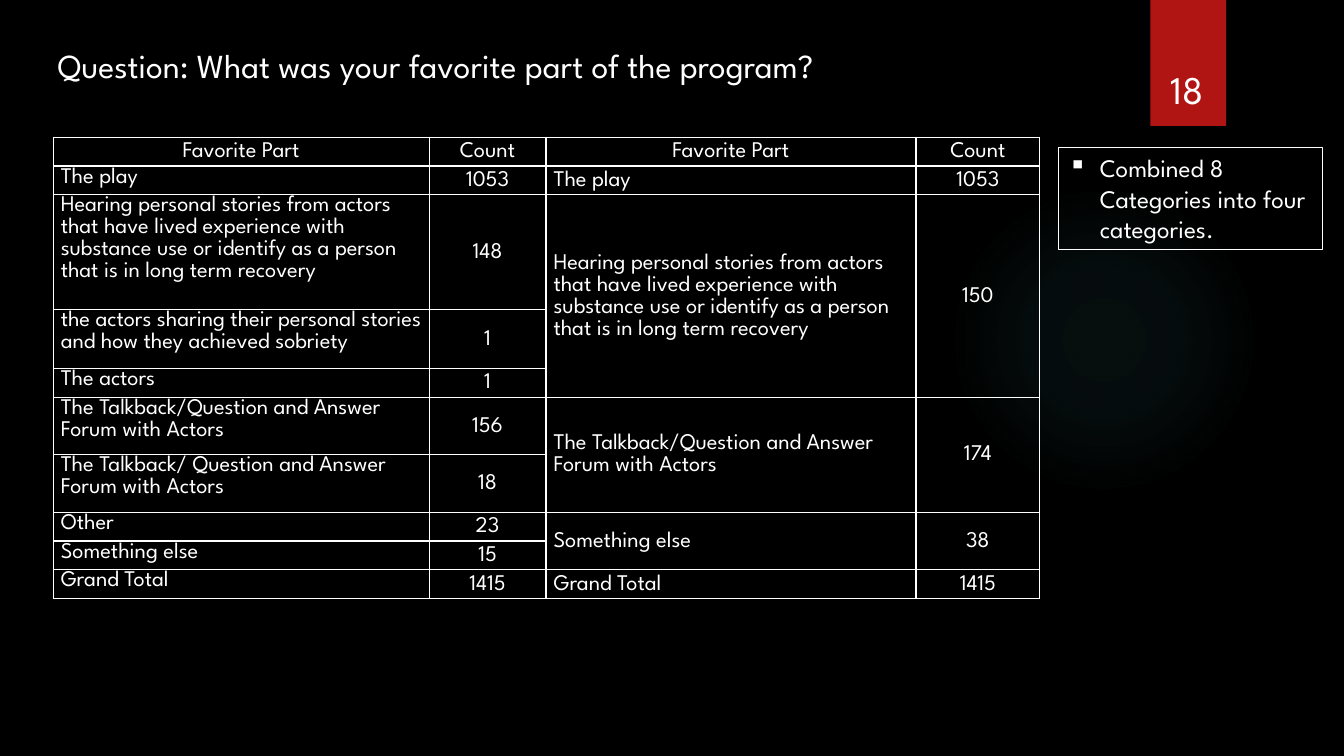
from lxml import etree
from pptx import Presentation
from pptx.dml.color import RGBColor
from pptx.enum import shapes, text
from pptx.oxml import parse_xml
from pptx.oxml.ns import nsdecls
from pptx.util import Pt

QUESTION = "Question: What was your favorite part of the program?"
NOTE = "Combined 8 Categories into four categories."
PAGE = "18"
HEADINGS = ["Favorite Part", "Count"]
STORIES = ("Hearing personal stories from actors that have lived experience with "
           "substance use or identify as a person that is in long term recovery")
TALKBACK = "The Talkback/Question and Answer Forum with Actors"
GROUPS = [
    ("The play", 1053, [("The play", 1053, 20.5)]),
    (STORIES, 150, [
        (STORIES, 148, 82),
        ("the actors sharing their personal stories and how they achieved sobriety", 1, 42),
        ("The actors", 1, 20.5),
    ]),
    (TALKBACK, 174, [
        (TALKBACK, 156, 41),
        ("The Talkback/ Question and Answer Forum with Actors", 18, 41),
    ]),
    ("Something else", 38, [("Other", 23, 20.5), ("Something else", 15, 20.5)]),
    ("Grand Total", 1415, [("Grand Total", 1415, 20.5)]),
]
COLUMN_WIDTHS = [268.5, 83.5, 264.25, 88.5]
HEADER_HEIGHT = 20.5
GLOW_STOPS = [(0, 7), (36, 6), (69, 0)]

FONT = "League Spartan"
BLACK = RGBColor(0x00, 0x00, 0x00)
WHITE = RGBColor(0xFF, 0xFF, 0xFF)
RED = RGBColor(0xB0, 0x15, 0x13)
GLOW = RGBColor(0x50, 0xB9, 0xC1)
LEFT, CENTER = text.PP_ALIGN.LEFT, text.PP_ALIGN.CENTER
TOP, MIDDLE, BOTTOM = text.MSO_ANCHOR.TOP, text.MSO_ANCHOR.MIDDLE, text.MSO_ANCHOR.BOTTOM


def write(frame, words, size, align=LEFT, anchor=TOP, spacing=None, after=None, bullet=None):
    frame.word_wrap = True
    frame.vertical_anchor = anchor
    paragraph = frame.paragraphs[0]
    paragraph.alignment = align
    paragraph.line_spacing = spacing
    if after is not None:
        paragraph.space_after = Pt(after)
    if bullet:
        properties = paragraph._p.get_or_add_pPr()
        properties.set("marL", str(Pt(22.5)))
        properties.set("indent", str(-Pt(22.5)))
        properties.append(parse_xml(f'<a:buChar {nsdecls("a")} char="{bullet}"/>'))
    run = paragraph.add_run()
    run.text = words
    run.font.name = FONT
    run.font.size = Pt(size)
    run.font.bold = False
    run.font.color.rgb = WHITE


def add_panel(kind, left, top, width, height, fill=None, line=None):
    panel = slide.shapes.add_shape(kind, Pt(left), Pt(top), Pt(width), Pt(height))
    panel.shadow.inherit = False
    if fill is None:
        panel.fill.background()
    else:
        panel.fill.solid()
        panel.fill.fore_color.rgb = fill
    if line is None:
        panel.line.fill.background()
    else:
        panel.line.color.rgb = line
        panel.line.width = Pt(0.75)
    return panel


def fill_cell(row, column, words="", align=LEFT, anchor=MIDDLE):
    cell = table.cell(row, column)
    cell.margin_left = cell.margin_right = Pt(5.4)
    cell.margin_top = cell.margin_bottom = 0
    properties = cell._tc.get_or_add_tcPr()
    for side in "LRTB":
        properties.append(parse_xml(
            f'<a:ln{side} {nsdecls("a")} w="{Pt(1)}"><a:solidFill>'
            f'<a:srgbClr val="{WHITE}"/></a:solidFill></a:ln{side}>'))
    cell.fill.background()
    if words:
        write(cell.text_frame, words, 16, align=align, spacing=1.07, after=8)
        cell.vertical_anchor = anchor


deck = Presentation()
deck.slide_width, deck.slide_height = Pt(960), Pt(540)
slide = deck.slides.add_slide(deck.slide_layouts[5])
slide.background.fill.solid()
slide.background.fill.fore_color.rgb = BLACK

question = slide.shapes.title
question.left, question.top, question.width, question.height = Pt(34), Pt(28.8), Pt(666.7), Pt(36)
write(question.text_frame, QUESTION, 24)
question.text_frame.auto_size = text.MSO_AUTO_SIZE.NONE

glow = add_panel(shapes.MSO_SHAPE.OVAL, 677.5, 131.75, 221.75, 221.75, fill=GLOW)
stops = "".join(
    f'<a:gs pos="{place * 1000}"><a:srgbClr val="{GLOW}"><a:alpha val="{alpha * 1000}"/></a:srgbClr></a:gs>'
    for place, alpha in GLOW_STOPS)
solid = glow._element.spPr.find("{*}solidFill")
solid.getparent().replace(solid, parse_xml(
    f'<a:gradFill {nsdecls("a")}><a:gsLst>{stops}</a:gsLst><a:path path="circle">'
    '<a:fillToRect l="50000" t="50000" r="50000" b="50000"/></a:path></a:gradFill>'))

add_panel(shapes.MSO_SHAPE.RECTANGLE, 821.75, 0, 54, 90, fill=RED)
page = slide.shapes.add_textbox(Pt(815), Pt(23), Pt(66.5), Pt(60.5))
write(page.text_frame, PAGE, 28, align=CENTER, anchor=BOTTOM)
note = add_panel(shapes.MSO_SHAPE.RECTANGLE, 756, 105.5, 188.75, 72.7, line=WHITE)
write(note.text_frame, NOTE, 18, bullet="▪")

heights = [HEADER_HEIGHT] + [height for _, _, parts in GROUPS for _, _, height in parts]
table = slide.shapes.add_table(
    len(heights), len(COLUMN_WIDTHS), Pt(38), Pt(98), Pt(sum(COLUMN_WIDTHS)), Pt(sum(heights))).table
table.first_row = table.horz_banding = False
for column, width in zip(table.columns, COLUMN_WIDTHS):
    column.width = Pt(width)
for row, height in zip(table.rows, heights):
    row.height = Pt(height)

for column, heading in enumerate(HEADINGS * 2):
    fill_cell(0, column, heading, align=CENTER)
start = 1
for combined, total, parts in GROUPS:
    for offset, (part, count, _) in enumerate(parts):
        first = offset == 0
        fill_cell(start + offset, 0, part, anchor=TOP)
        fill_cell(start + offset, 1, str(count), align=CENTER)
        fill_cell(start + offset, 2, combined if first else "")
        fill_cell(start + offset, 3, str(total) if first else "", align=CENTER)
    end = start + len(parts) - 1
    if end > start:
        for column in (2, 3):
            table.cell(start, column).merge(table.cell(end, column))
    start = end + 1

deck.save("out.pptx")
